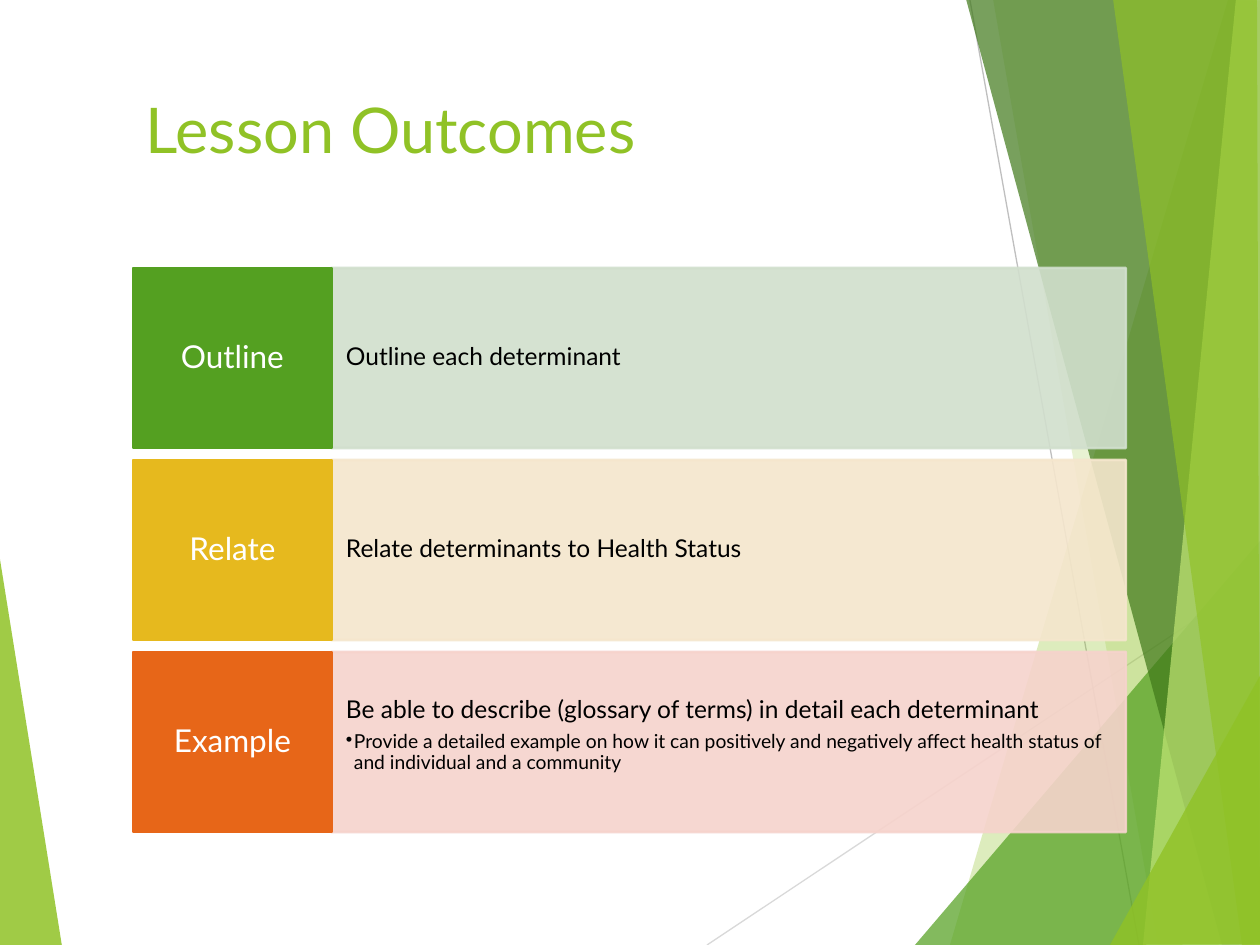
from pptx import Presentation
from pptx.dml.color import RGBColor
from pptx.enum.shapes import MSO_CONNECTOR, MSO_SHAPE
from pptx.enum.text import MSO_ANCHOR, PP_ALIGN
from pptx.oxml.ns import qn
from pptx.util import Pt
from lxml import etree

STRAIGHT, RECTANGLE = MSO_CONNECTOR.STRAIGHT, MSO_SHAPE.RECTANGLE
TOP, MIDDLE = MSO_ANCHOR.TOP, MSO_ANCHOR.MIDDLE
LEFT, CENTER = PP_ALIGN.LEFT, PP_ALIGN.CENTER

LIME = RGBColor(0x90, 0xC2, 0x26)
PALE_LIME = RGBColor(0xC0, 0xE4, 0x74)
GREEN = RGBColor(0x54, 0xA0, 0x21)
DARK_GREEN = RGBColor(0x3F, 0x78, 0x19)
YELLOW = RGBColor(0xE6, 0xB9, 0x1E)
ORANGE = RGBColor(0xE7, 0x66, 0x18)
PALE_GREEN = RGBColor(0xD1, 0xDF, 0xCD)
PALE_YELLOW = RGBColor(0xF5, 0xE6, 0xCD)
PALE_RED = RGBColor(0xF6, 0xD3, 0xCC)
LIGHT_GRAY = RGBColor(0xD9, 0xD9, 0xD9)
GRAY = RGBColor(0xBF, 0xBF, 0xBF)
BLACK = RGBColor(0, 0, 0)
WHITE = RGBColor(0xFF, 0xFF, 0xFF)

FONT = "Lato"
SCALE = 914400 / 126  # EMU per px


def emu(*lengths):
    return [round(length * SCALE) for length in lengths]


def paint(shape, color, opacity, line_width=None):
    shape.shadow.inherit = False
    shape.fill.solid()
    shape.fill.fore_color.rgb = color
    if line_width:
        shape.line.color.rgb = color
        shape.line.width = Pt(line_width)
    else:
        shape.line.fill.background()
    if opacity < 100:
        for tint in shape.element.spPr.iter(qn("a:srgbClr")):
            etree.SubElement(tint, qn("a:alpha"), val=str(opacity * 1000))


presentation = Presentation()
presentation.slide_width, presentation.slide_height = emu(1260, 945)
slide = presentation.slides.add_slide(presentation.slide_layouts[5])
shapes = slide.shapes

# Thin background lines
for ends, color in [((707, 945, 1261, 576), LIGHT_GRAY), ((970, 0, 1139, 945), GRAY)]:
    line = shapes.add_connector(STRAIGHT, *emu(*ends))
    line.line.color.rgb = color
    line.line.width = Pt(0.75)
    etree.SubElement(line.element.spPr, qn("a:effectLst"))

# Translucent facets along the slide edges
facets = [
    ([(-1, 553), (62, 946), (-1, 945)], LIME, 85),
    ([(1228, 0), (950, 945), (1262, 946), (1261, 1)], LIME, 30),
    ([(993, -1), (1158, 945), (1261, 945), (1261, -1)], LIME, 20),
    ([(915, 945), (1260, 541), (1261, 945)], GREEN, 72),
    ([(966, -1), (1222, 945), (1261, 944), (1261, -1)], DARK_GREEN, 70),
    ([(1236, -1), (1143, 945), (1261, 945), (1260, -1)], PALE_LIME, 70),
    ([(1113, -1), (1242, 945), (1260, 945), (1257, -1)], LIME, 65),
    ([(1110, 945), (1261, 674), (1261, 944)], LIME, 80),
]
for points, color, opacity in facets:
    builder = shapes.build_freeform(*points[0], scale=SCALE)
    builder.add_line_segments(points[1:], close=True)
    paint(builder.convert_to_shape(), color, opacity)

# Title, brought in front of the facets
title = shapes.title
title.left, title.top, title.width, title.height = emu(133, 84, 1054, 151)
title.element.getparent().append(title.element)
title.text_frame.text = "Lesson Outcomes"
title.text_frame.vertical_anchor = TOP
paragraph = title.text_frame.paragraphs[0]
paragraph.alignment = LEFT
paragraph.font.name = FONT
paragraph.font.size = Pt(36)
paragraph.font.color.rgb = LIME

# Outcome rows: a pale detail panel and a solid label
ROW_TOP, ROW_PITCH, ROW_HEIGHT = 268, 192, 180
outcomes = [
    ("Outline", GREEN, PALE_GREEN, MIDDLE, ["Outline each determinant"]),
    ("Relate", YELLOW, PALE_YELLOW, MIDDLE, ["Relate determinants to Health Status"]),
    ("Example", ORANGE, PALE_RED, TOP, [
        "Be able to describe (glossary of terms) in detail each determinant",
        "Provide a detailed example on how it can positively and negatively affect "
        "health status of and individual and a community",
    ]),
]
for row, (label, color, pale_color, anchor, details) in enumerate(outcomes):
    top = ROW_TOP + row * ROW_PITCH
    cells = [
        (331, 795, pale_color, 90, details, (14, 11), BLACK, LEFT, anchor, (15, 45)),
        (133, 199, color, 100, [label], (18,), WHITE, CENTER, MIDDLE, (10, 18)),
    ]
    for left, width, fill, opacity, texts, sizes, ink, alignment, anchoring, insets in cells:
        cell = shapes.add_shape(RECTANGLE, *emu(left, top, width, ROW_HEIGHT))
        paint(cell, fill, opacity, 1.5)
        frame = cell.text_frame
        frame.word_wrap = True
        frame.vertical_anchor = anchoring
        frame.margin_left, frame.margin_top = emu(*insets)
        frame.margin_right, frame.margin_bottom = emu(*insets)
        frame.text = "\n".join(texts)
        for level, (paragraph, size) in enumerate(zip(frame.paragraphs, sizes)):
            paragraph.alignment = alignment
            paragraph.line_spacing = 0.9
            paragraph.space_after = Pt(2 if level else 5)
            if level:
                paragraph.level = level
                properties = paragraph._p.get_or_add_pPr()
                indent = emu(8)[0]
                properties.set("marL", str(indent))
                properties.set("indent", str(-indent))
                etree.SubElement(properties, qn("a:buChar"), char="•")
            paragraph.font.name = FONT
            paragraph.font.size = Pt(size)
            paragraph.font.color.rgb = ink

presentation.save("out.pptx")
